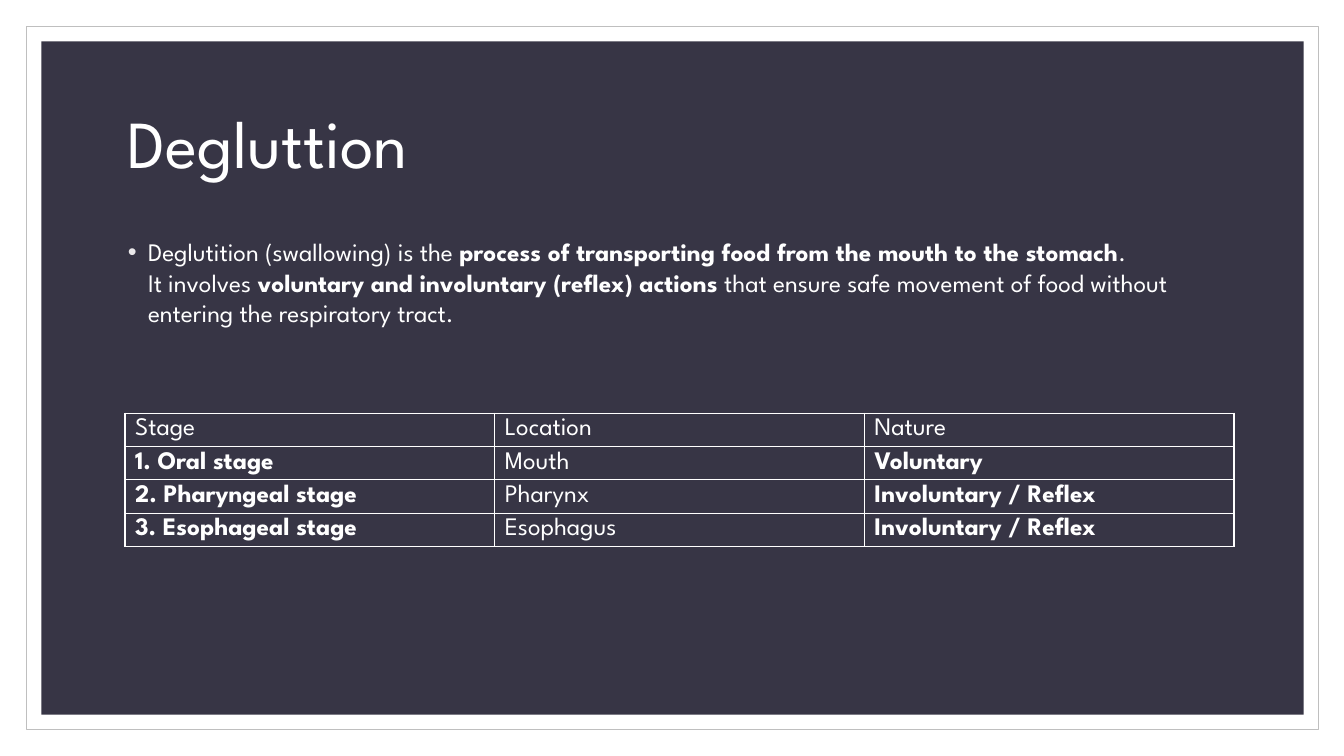
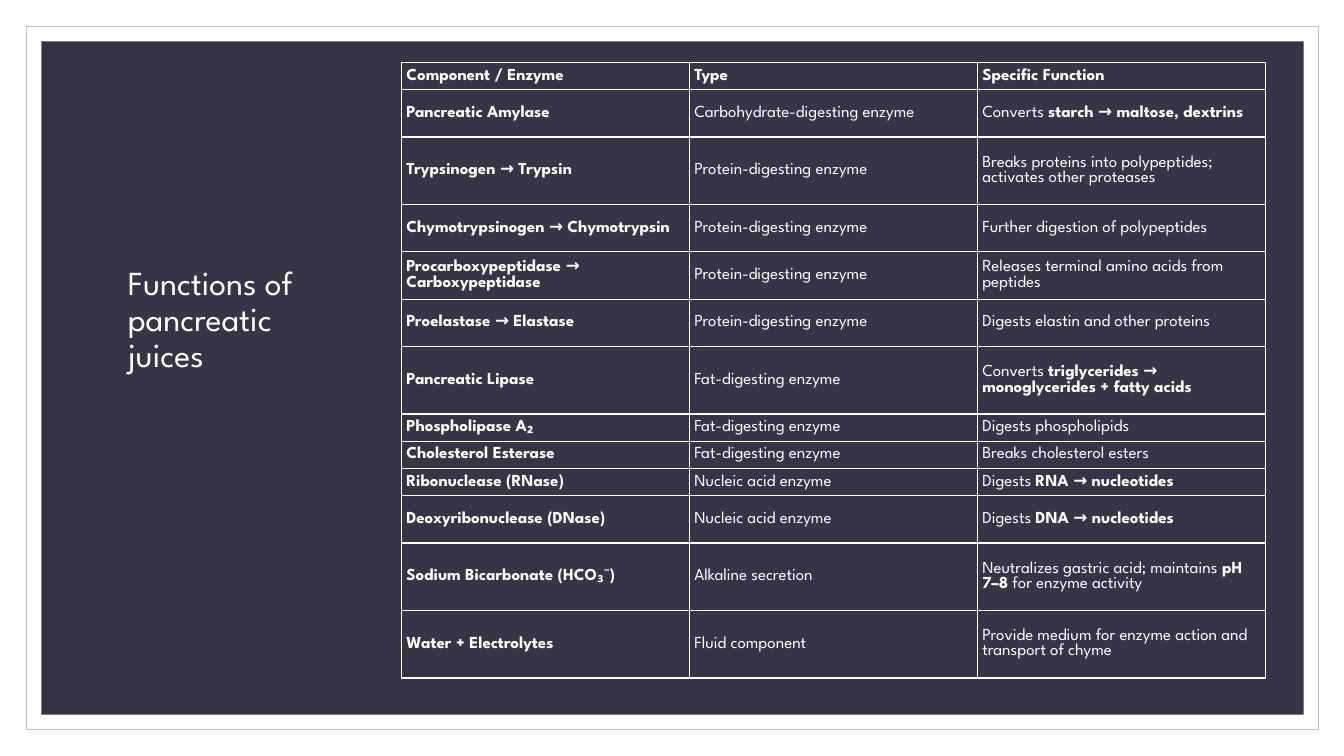
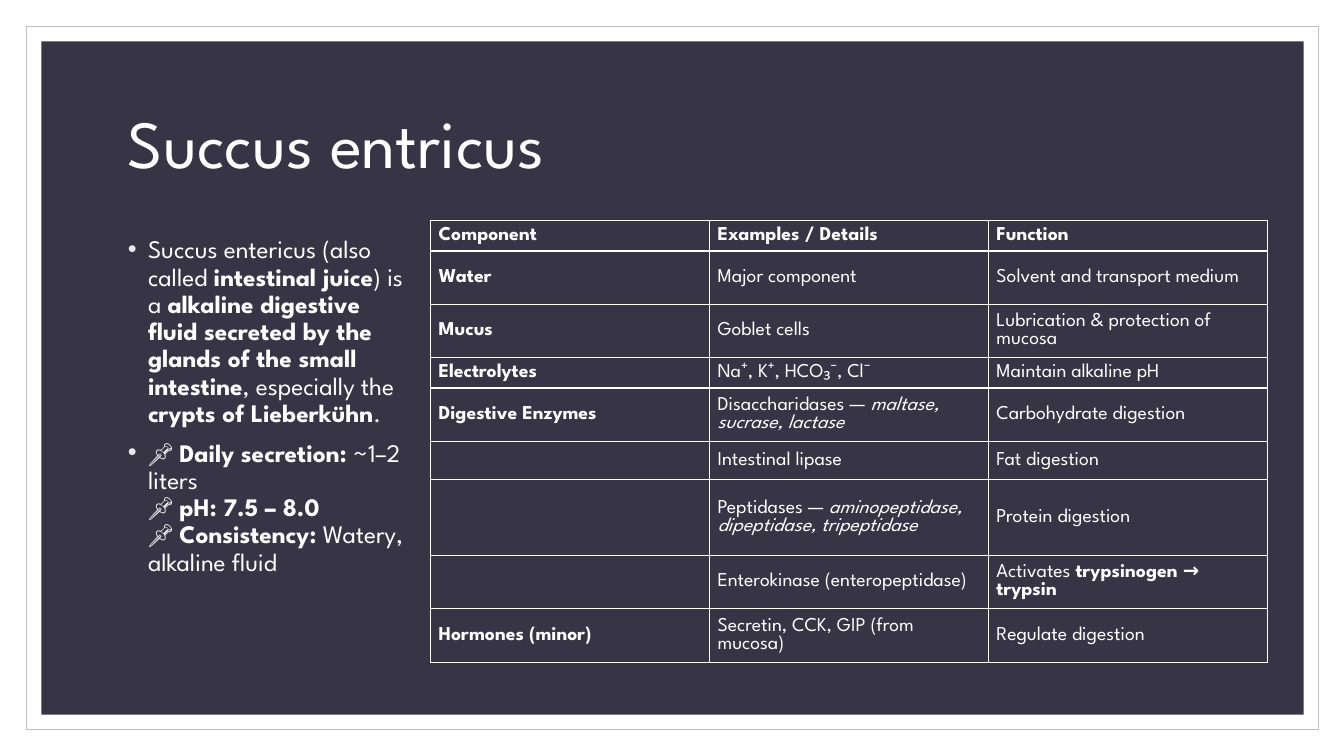
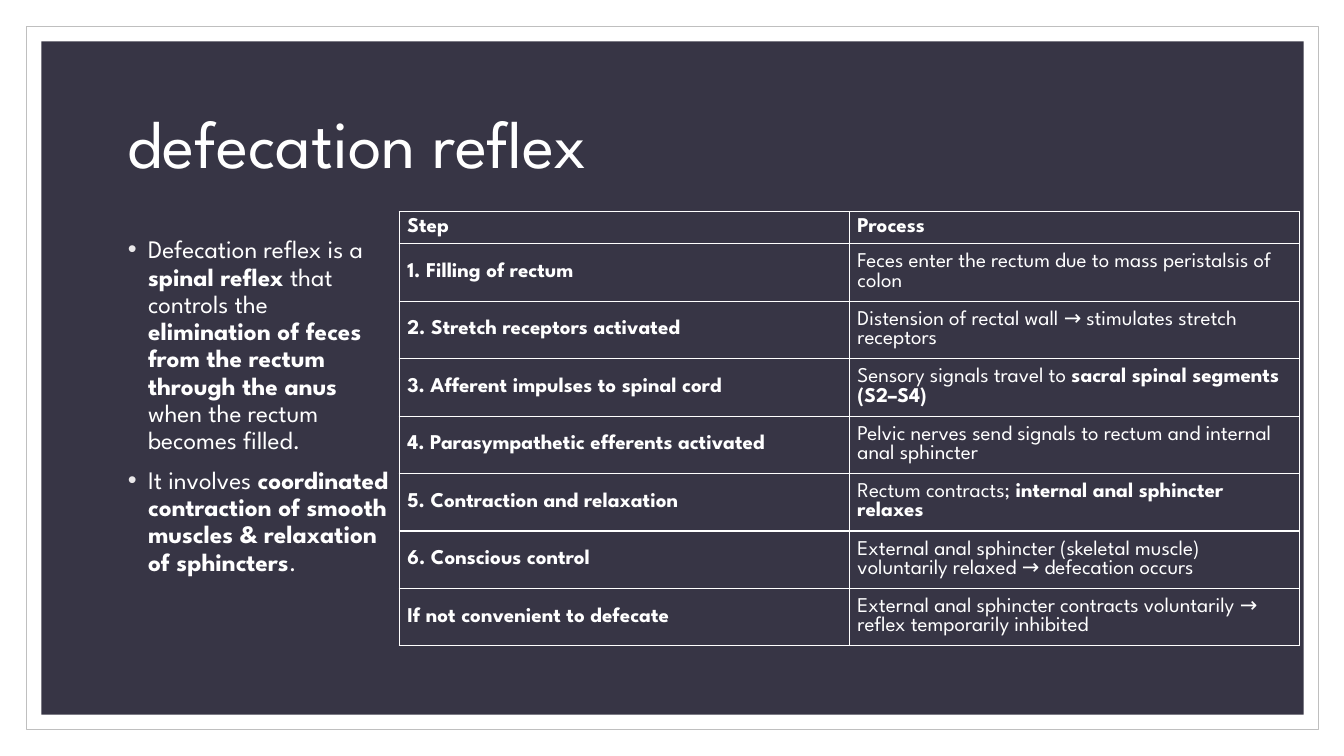
from lxml import etree
from pptx import Presentation
from pptx import util as u
from pptx.dml.color import RGBColor
from pptx.enum import shapes, text
from pptx.oxml import ns

FONT = "League Spartan"
HEX = {"paper": "FFFFFF", "edge": "BFBFBF", "panel": "373545",
       "ink": "FFFFFF", "dot": "EAE8EA"}
LOOSE, TIGHT = 1.2, 0.92  # line height per point of text: boxes, tables


def color(name):
    return RGBColor.from_string(HEX[name])


def sub(parent, tag, **attrs):
    return etree.SubElement(parent, ns.qn(tag), attrs)


def apply(target, **values):
    for name, value in values.items():
        setattr(target, name, value)


class Deck:
    """Holds the style and the current slide."""

    def __init__(self):
        self.prs = Presentation()
        apply(self.prs, slide_width=u.Inches(13.33), slide_height=u.Inches(7.5))
        self.slide = None

    def page(self, title, width=11, height=1.5, size=48):
        self.slide = self.prs.slides.add_slide(self.prs.slide_layouts[6])
        self.band(0.26, 0.26, 12.82, 6.98, "paper", "edge")
        self.band(0.41, 0.41, 12.52, 6.68, "panel")
        frame = self.box(1.17, 0.7, width, height, text.MSO_ANCHOR.MIDDLE)
        self.put(frame.paragraphs[0], title, size, 0.9 * LOOSE)

    def band(self, x, y, w, h, fill, edge=None):
        rect = self.slide.shapes.add_shape(
            shapes.MSO_SHAPE.RECTANGLE, *map(u.Inches, (x, y, w, h)))
        rect.shadow.inherit = False
        rect.fill.solid()
        rect.fill.fore_color.rgb = color(fill)
        if edge:
            rect.line.color.rgb = color(edge)
            rect.line.width = u.Pt(0.5)
        else:
            rect.line.fill.background()

    def box(self, x, y, w, h, anchor=text.MSO_ANCHOR.TOP):
        frame = self.slide.shapes.add_textbox(
            *map(u.Inches, (x, y, w, h))).text_frame
        apply(frame, word_wrap=True, vertical_anchor=anchor)
        return frame

    def put(self, para, words, size, ratio, bold=False):
        """Fill a paragraph; * switches bold, _ switches italic."""
        para.line_spacing = u.Pt(round(size * ratio, 2))
        style = {"name": FONT, "size": u.Pt(size), "bold": bold, "italic": False}
        for mark in "*_\n":
            words = words.replace(mark, f"|{mark}|")
        for part in filter(None, words.split("|")):
            if part == "*":
                style["bold"] = not style["bold"]
            elif part == "_":
                style["italic"] = not style["italic"]
            elif part == "\n":
                para.add_line_break()
            else:
                run = para.add_run()
                run.text = part
                apply(run.font, **style)
                run.font.color.rgb = color("ink")

    def bullets(self, width, items, ratio=0.9 * LOOSE):
        frame = self.box(1.17, 2.3, width, 4.3)
        for i, item in enumerate(items):
            para = frame.add_paragraph() if i else frame.paragraphs[0]
            self.put(para, item, 18, ratio)
            if i:
                para.space_before = u.Pt(9)
            props = para._p.get_or_add_pPr()
            step = u.Inches(0.2)
            props.set("marL", str(step))
            props.set("indent", str(-step))
            sub(sub(props, "a:buClr"), "a:srgbClr", val=HEX["dot"])
            sub(props, "a:buFont", typeface="Arial")
            sub(props, "a:buChar", char="•")

    def table(self, x, y, width, heights, rows, size, pad=(0.1, 0.05), head=True):
        cols = len(rows[0])
        grid = self.slide.shapes.add_table(
            len(rows), cols, *map(u.Inches, (x, y, width, sum(heights)))).table
        apply(grid, first_row=False, horz_banding=False)
        for col in grid.columns:
            col.width = u.Inches(width / cols)
        side, top = map(u.Inches, pad)
        for r, row in enumerate(rows):
            grid.rows[r].height = u.Inches(heights[r])
            for c, words in enumerate(row):
                cell = grid.cell(r, c)
                apply(cell, margin_left=side, margin_right=side, margin_top=top,
                      margin_bottom=top, vertical_anchor=text.MSO_ANCHOR.MIDDLE)
                cell.fill.background()
                self.rule(cell)
                bold = head if r == 0 else c == 0
                self.put(cell.text_frame.paragraphs[0], words, size, TIGHT, bold)

    def rule(self, cell):
        props = cell._tc.get_or_add_tcPr()
        for i, side in enumerate("LRTB"):
            line = sub(props, f"a:ln{side}", w=str(u.Pt(1)))
            sub(sub(line, "a:solidFill"), "a:srgbClr", val=HEX["ink"])
            props.insert(i, line)


def main():
    deck = Deck()

    # Swallowing
    deck.page("Degluttion")
    deck.bullets(11, [
        "Deglutition (swallowing) is the *process of transporting food from the "
        "mouth to the stomach*.\nIt involves *voluntary and involuntary (reflex) "
        "actions* that ensure safe movement of food without entering the "
        "respiratory tract."], LOOSE)
    deck.table(1.24, 4.1, 11, [0.33] * 4, [
        ("Stage", "Location", "Nature"),
        ("1. Oral stage", "Mouth", "*Voluntary*"),
        ("2. Pharyngeal stage", "Pharynx", "*Involuntary / Reflex*"),
        ("3. Esophageal stage", "Esophagus", "*Involuntary / Reflex*"),
    ], 18, head=False)

    # Pancreatic juice
    deck.page("Functions of pancreatic juices", 2.24, 4.95, 24)
    low, mid, tall = 0.27, 0.47, 0.67
    protein, fat = "Protein-digesting enzyme", "Fat-digesting enzyme"
    acid = "Nucleic acid enzyme"
    deck.table(3.98, 0.62, 8.57, [
        low, mid, tall, mid, mid, mid, tall, low, low, low, mid, tall, tall], [
        ("Component / Enzyme", "Type", "Specific Function"),
        ("Pancreatic Amylase", "Carbohydrate-digesting enzyme",
         "Converts *starch → maltose, dextrins*"),
        ("Trypsinogen → Trypsin", protein,
         "Breaks proteins into polypeptides; activates other proteases"),
        ("Chymotrypsinogen → Chymotrypsin", protein,
         "Further digestion of polypeptides"),
        ("Procarboxypeptidase → Carboxypeptidase", protein,
         "Releases terminal amino acids from peptides"),
        ("Proelastase → Elastase", protein, "Digests elastin and other proteins"),
        ("Pancreatic Lipase", fat,
         "Converts *triglycerides → monoglycerides + fatty acids*"),
        ("Phospholipase A₂", fat, "Digests phospholipids"),
        ("Cholesterol Esterase", fat, "Breaks cholesterol esters"),
        ("Ribonuclease (RNase)", acid, "Digests *RNA → nucleotides*"),
        ("Deoxyribonuclease (DNase)", acid, "Digests *DNA → nucleotides*"),
        ("Sodium Bicarbonate (HCO₃⁻)", "Alkaline secretion",
         "Neutralizes gastric acid; maintains *pH 7–8* for enzyme activity"),
        ("Water + Electrolytes", "Fluid component",
         "Provide medium for enzyme action and transport of chyme"),
    ], 12, (0.05, 0.02))

    # Intestinal juice
    deck.page("Succus entricus")
    deck.bullets(2.97, [
        "Succus entericus (also called *intestinal juice*) is a *alkaline "
        "digestive fluid secreted by the glands of the small intestine*, "
        "especially the *crypts of Lieberkühn*.",
        "📌 *Daily secretion:* ~1–2 liters\n📌 *pH: 7.5 – 8.0*\n"
        "📌 *Consistency:* Watery, alkaline fluid"])
    low, mid, tall = 0.3, 0.53, 0.75
    deck.table(4.27, 2.19, 8.3, [
        low, mid, mid, low, mid, low, tall, mid, mid], [
        ("Component", "Examples / Details", "Function"),
        ("Water", "Major component", "Solvent and transport medium"),
        ("Mucus", "Goblet cells", "Lubrication & protection of mucosa"),
        ("Electrolytes", "Na⁺, K⁺, HCO₃⁻, Cl⁻", "Maintain alkaline pH"),
        ("Digestive Enzymes", "Disaccharidases — _maltase, sucrase, lactase_",
         "Carbohydrate digestion"),
        ("", "Intestinal lipase", "Fat digestion"),
        ("", "Peptidases — _aminopeptidase, dipeptidase, tripeptidase_",
         "Protein digestion"),
        ("", "Enterokinase (enteropeptidase)",
         "Activates *trypsinogen → trypsin*"),
        ("Hormones (minor)", "Secretin, CCK, GIP (from mucosa)",
         "Regulate digestion"),
    ], 14, (0.08, 0.04))

    # Defecation
    deck.page("defecation reflex")
    deck.bullets(2.79, [
        "Defecation reflex is a *spinal reflex* that controls the *elimination "
        "of feces from the rectum through the anus* when the rectum becomes "
        "filled.",
        "It involves *coordinated contraction of smooth muscles & relaxation "
        "of sphincters*."])
    deck.table(3.96, 2.1, 8.93, [0.32] + [0.57] * 7, [
        ("Step", "Process"),
        ("1. Filling of rectum",
         "Feces enter the rectum due to mass peristalsis of colon"),
        ("2. Stretch receptors activated",
         "Distension of rectal wall → stimulates stretch receptors"),
        ("3. Afferent impulses to spinal cord",
         "Sensory signals travel to *sacral spinal segments (S2–S4)*"),
        ("4. Parasympathetic efferents activated",
         "Pelvic nerves send signals to rectum and internal anal sphincter"),
        ("5. Contraction and relaxation",
         "Rectum contracts; *internal anal sphincter relaxes*"),
        ("6. Conscious control",
         "External anal sphincter (skeletal muscle) voluntarily relaxed → "
         "defecation occurs"),
        ("If not convenient to defecate",
         "External anal sphincter contracts voluntarily → reflex temporarily "
         "inhibited"),
    ], 15, (0.08, 0.04))

    deck.prs.save("out.pptx")


if __name__ == "__main__":
    main()
